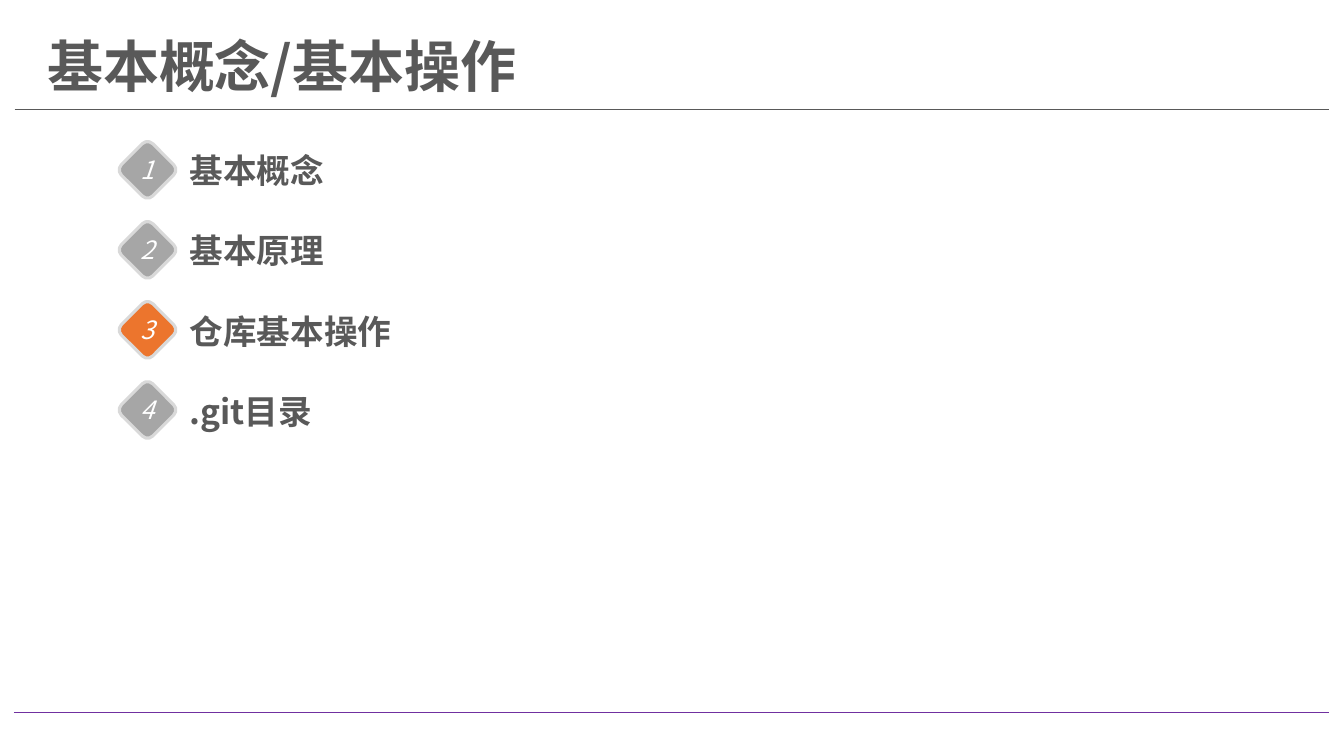
from lxml import etree
from pptx import Presentation
from pptx.dml.color import RGBColor
from pptx.enum.shapes import MSO_CONNECTOR, MSO_SHAPE
from pptx.enum.text import MSO_ANCHOR, PP_ALIGN
from pptx.oxml.ns import qn
from pptx.util import Pt

STRAIGHT = MSO_CONNECTOR.STRAIGHT
ROUNDED = MSO_SHAPE.ROUNDED_RECTANGLE
TOP, MIDDLE = MSO_ANCHOR.TOP, MSO_ANCHOR.MIDDLE
LEFT, CENTER = PP_ALIGN.LEFT, PP_ALIGN.CENTER

FONT = "Noto Sans CJK SC"
COLORS = {
    "text": "595959",
    "number": "FFFFFF",
    "rule": "7030A0",
    "marker": "A6A6A6",
    "active": "EC752D",
    "border": "D9D9D9",
}
TOPICS = ["基本概念", "基本原理", "仓库基本操作", ".git目录"]
ACTIVE_TOPIC = 3
ROW_PITCH = 57.15


def color(name):
    return RGBColor.from_string(COLORS[name])


def add_text(slide, box, text, size, color_name, bold=False, italic=False,
             align=LEFT, anchor=TOP, wrap=True):
    shape = slide.shapes.add_textbox(*(Pt(length) for length in box))
    frame = shape.text_frame
    frame.word_wrap = wrap
    frame.vertical_anchor = anchor
    paragraph = frame.paragraphs[0]
    paragraph.text = text
    paragraph.alignment = align
    font = paragraph.font
    font.name, font.size = FONT, Pt(size)
    font.bold, font.italic = bold, italic
    font.color.rgb = color(color_name)
    defaults = paragraph._p.pPr.find(qn("a:defRPr"))
    etree.SubElement(defaults, qn("a:ea")).set("typeface", FONT)
    return paragraph


def add_rule(slide, left, top, width, color_name, weight):
    line = slide.shapes.add_connector(
        STRAIGHT, Pt(left), Pt(top), Pt(left + width), Pt(top))
    line.line.color.rgb = color(color_name)
    line.line.width = Pt(weight)
    etree.SubElement(line._element.spPr, qn("a:effectLst"))


def add_title(slide, left, top, width, height):
    paragraph = add_text(slide, (left, top, width, height), "基本概念/基本操作",
                         40, "text", bold=True, anchor=MIDDLE)
    paragraph.line_spacing = 0.9


def add_topic(slide, left, top, number, label):
    """Draw one agenda row: label, diamond marker and its number."""
    add_text(slide, (left + 38.9, top, 273.6, 36), label, 24, "text", bold=True)
    diamond = slide.shapes.add_shape(
        ROUNDED, Pt(left), Pt(top + 1.6), Pt(31.7), Pt(31.7))
    diamond.rotation = 45
    diamond.shadow.inherit = False
    diamond.fill.solid()
    diamond.fill.fore_color.rgb = color(
        "active" if number == ACTIVE_TOPIC else "marker")
    diamond.line.color.rgb = color("border")
    diamond.line.width = Pt(2.25)
    add_text(slide, (left + 3.2, top + 3, 25.2, 28.8), str(number), 18,
             "number", italic=True, align=CENTER, wrap=False)


def add_agenda(slide, left, top):
    for index, label in enumerate(TOPICS):
        add_topic(slide, left, top + index * ROW_PITCH, index + 1, label)


def main():
    presentation = Presentation()
    presentation.slide_width, presentation.slide_height = Pt(960), Pt(540)
    slide = presentation.slides.add_slide(presentation.slide_layouts[6])
    add_rule(slide, 10.4, 78.5, 939, "text", 0.75)
    add_rule(slide, 10, 509, 939, "rule", 1)
    add_title(slide, 26.6, 25.2, 812.2, 48.2)
    add_agenda(slide, 89.5, 103.9)
    presentation.save("out.pptx")


if __name__ == "__main__":
    main()
